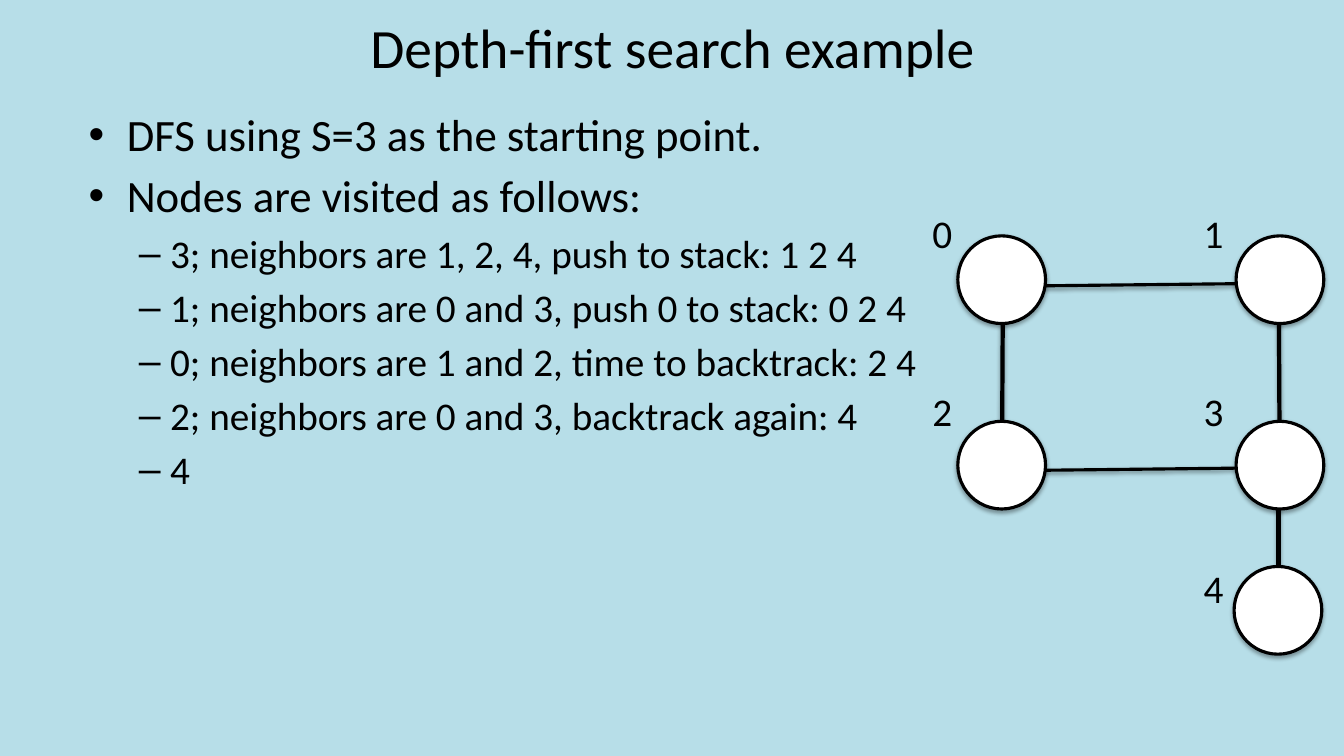
from dataclasses import dataclass

from lxml.etree import SubElement
from pptx import Presentation
from pptx.dml.color import RGBColor
from pptx.enum.shapes import MSO_CONNECTOR, MSO_SHAPE
from pptx.enum.text import MSO_ANCHOR, PP_ALIGN
from pptx.oxml.ns import qn
from pptx.util import Inches, Pt


@dataclass(frozen=True)
class Theme:
    """Colours, font and type sizes of the slide."""
    back: RGBColor = RGBColor(0xB7, 0xDE, 0xE8)
    ink: RGBColor = RGBColor(0, 0, 0)
    node: RGBColor = RGBColor(255, 255, 255)
    font: str = "Calibri"
    title: float = 39.6
    body: float = 32
    sub: float = 28


THEME = Theme()
POINTS = [
    (0, "DFS using S=3 as the starting point."),
    (0, "Nodes are visited as follows:"),
    (1, "3; neighbors are 1, 2, 4, push to stack: 1 2 4"),
    (1, "1; neighbors are 0 and 3, push 0 to stack: 0 2 4"),
    (1, "0; neighbors are 1 and 2, time to backtrack: 2 4"),
    (1, "2; neighbors are 0 and 3, backtrack again: 4"),
    (1, "4"),
]
LEVELS = [("•", 0.38, 0.38, THEME.body, 5.5), ("–", 0.81, 0.31, THEME.sub, 5)]
SIDE = 0.87
NODES = [(0.35, 0.31), (3.11, 0.31), (0.35, 2.15), (3.11, 2.15), (3.09, 3.59)]
LABELS = [(0, 0), (2.69, 0), (0, 1.76), (2.69, 1.76), (2.69, 3.52)]
EDGES = [
    (3.53, 0.33, 3.54, 2.15, 3),
    (0.8, 0.3, 0.79, 2.15, 3),
    (0.8, 0.81, 3.53, 0.78, 2.25),
    (0.8, 2.64, 3.53, 2.61, 2.25),
    (3.53, 2.61, 3.53, 4.03, 3),
]


def style(para, size):
    """Give the runs of a paragraph the theme font and ink."""
    for run in para.runs:
        run.font.name = THEME.font
        run.font.size = Pt(size)
        run.font.color.rgb = THEME.ink


def shade(shape, alpha, dist):
    """Cast a soft shadow straight down."""
    effects = SubElement(shape._element.spPr, qn("a:effectLst"))
    outer = SubElement(effects, qn("a:outerShdw"), blurRad=str(Pt(3.1)),
                       dist=str(Pt(dist)), dir="5400000", rotWithShape="0")
    color = SubElement(outer, qn("a:srgbClr"), val=str(THEME.ink))
    SubElement(color, qn("a:alpha"), val=str(alpha * 1000))


def add_text(slide, left, top, width, height, wrap=True):
    """Add an empty text box and return its frame."""
    box = slide.shapes.add_textbox(
        Inches(left), Inches(top), Inches(width), Inches(height))
    box.text_frame.word_wrap = wrap
    return box.text_frame


def add_title(slide, left, top, width, height):
    """Place the centred heading in its box."""
    frame = add_text(slide, left, top, width, height)
    frame.vertical_anchor = MSO_ANCHOR.MIDDLE
    frame.text = "Depth-first search example"
    frame.paragraphs[0].alignment = PP_ALIGN.CENTER
    style(frame.paragraphs[0], THEME.title)


def add_points(slide, left, top, width, height):
    """Place the two-level bullet list in its box."""
    frame = add_text(slide, left, top, width, height)
    frame.text = "\n".join(text for _, text in POINTS)
    for para, (level, _) in zip(frame.paragraphs, POINTS):
        mark, margin, hang, size, gap = LEVELS[level]
        para.level = level
        para.space_before = Pt(gap)
        props = para._p.get_or_add_pPr()
        props.set("marL", str(Inches(margin)))
        props.set("indent", str(-Inches(hang)))
        SubElement(props, qn("a:buFont"), typeface="Arial")
        SubElement(props, qn("a:buChar"), char=mark)
        style(para, size)


def add_graph(slide, left, top):
    """Draw edges, nodes and labels from the top left corner."""
    for x1, y1, x2, y2, width in EDGES:
        edge = slide.shapes.add_connector(
            MSO_CONNECTOR.STRAIGHT, Inches(left + x1), Inches(top + y1),
            Inches(left + x2), Inches(top + y2))
        edge.line.color.rgb = THEME.ink
        edge.line.width = Pt(width)
        shade(edge, 38, 1.6)
    for x, y in NODES:
        node = slide.shapes.add_shape(
            MSO_SHAPE.OVAL, Inches(left + x), Inches(top + y),
            Inches(SIDE), Inches(SIDE))
        node.fill.solid()
        node.fill.fore_color.rgb = THEME.node
        node.line.color.rgb = THEME.ink
        node.line.width = Pt(2.25)
        shade(node, 35, 1.8)
    for name, (x, y) in enumerate(LABELS):
        frame = add_text(slide, left + x, top + y, 0.4, 0.57, wrap=False)
        frame.text = str(name)
        style(frame.paragraphs[0], THEME.sub)


def main():
    """Build and save the slide."""
    deck = Presentation()
    deck.slide_width = Inches(13.33)
    deck.slide_height = Inches(7.5)
    slide = deck.slides.add_slide(deck.slide_layouts[6])
    slide.background.fill.solid()
    slide.background.fill.fore_color.rgb = THEME.back
    add_title(slide, 2.17, 0.06, 9, 0.8)
    add_points(slide, 0.78, 1.01, 12, 6.24)
    add_graph(slide, 9.15, 2.03)
    deck.save("out.pptx")


if __name__ == "__main__":
    main()
